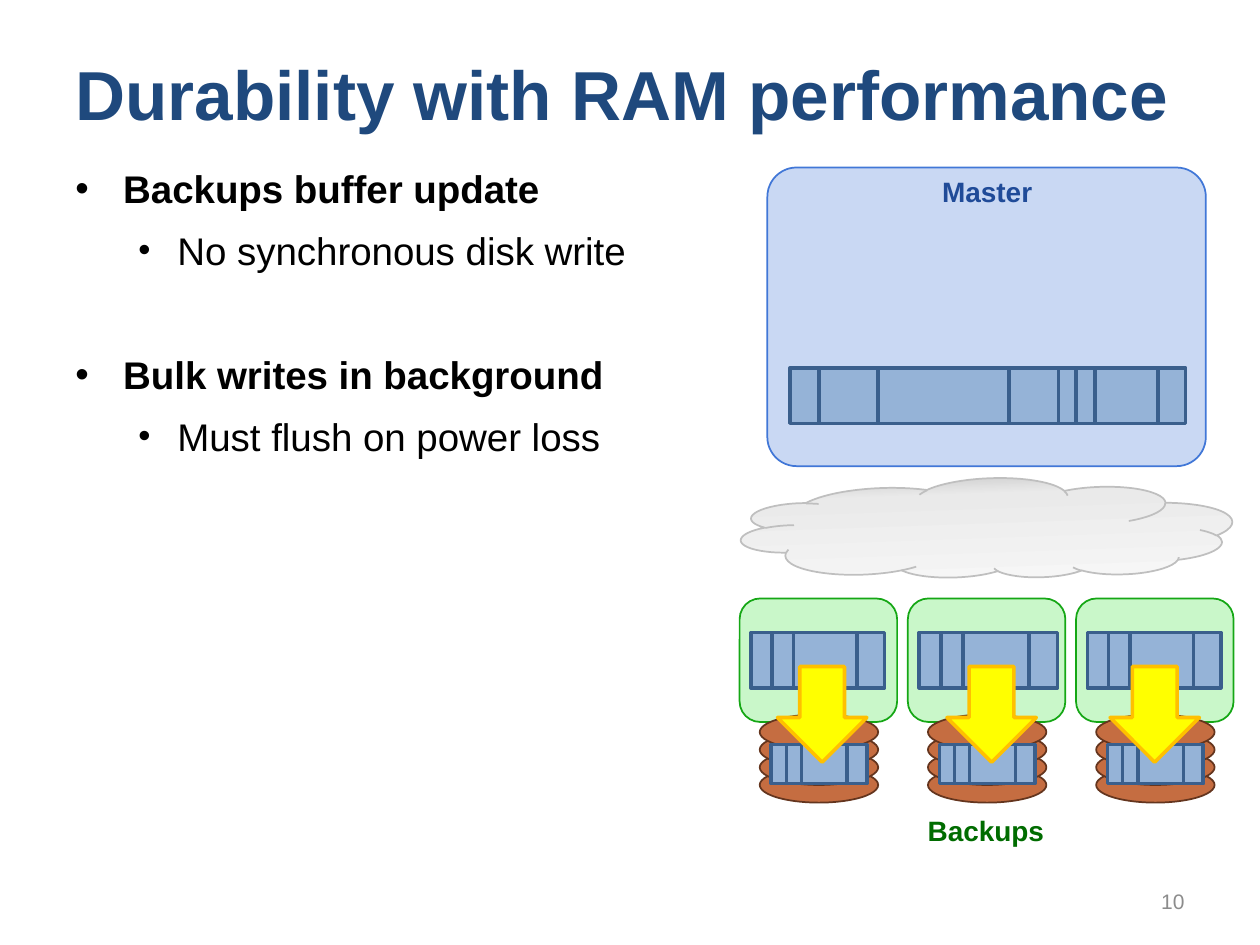
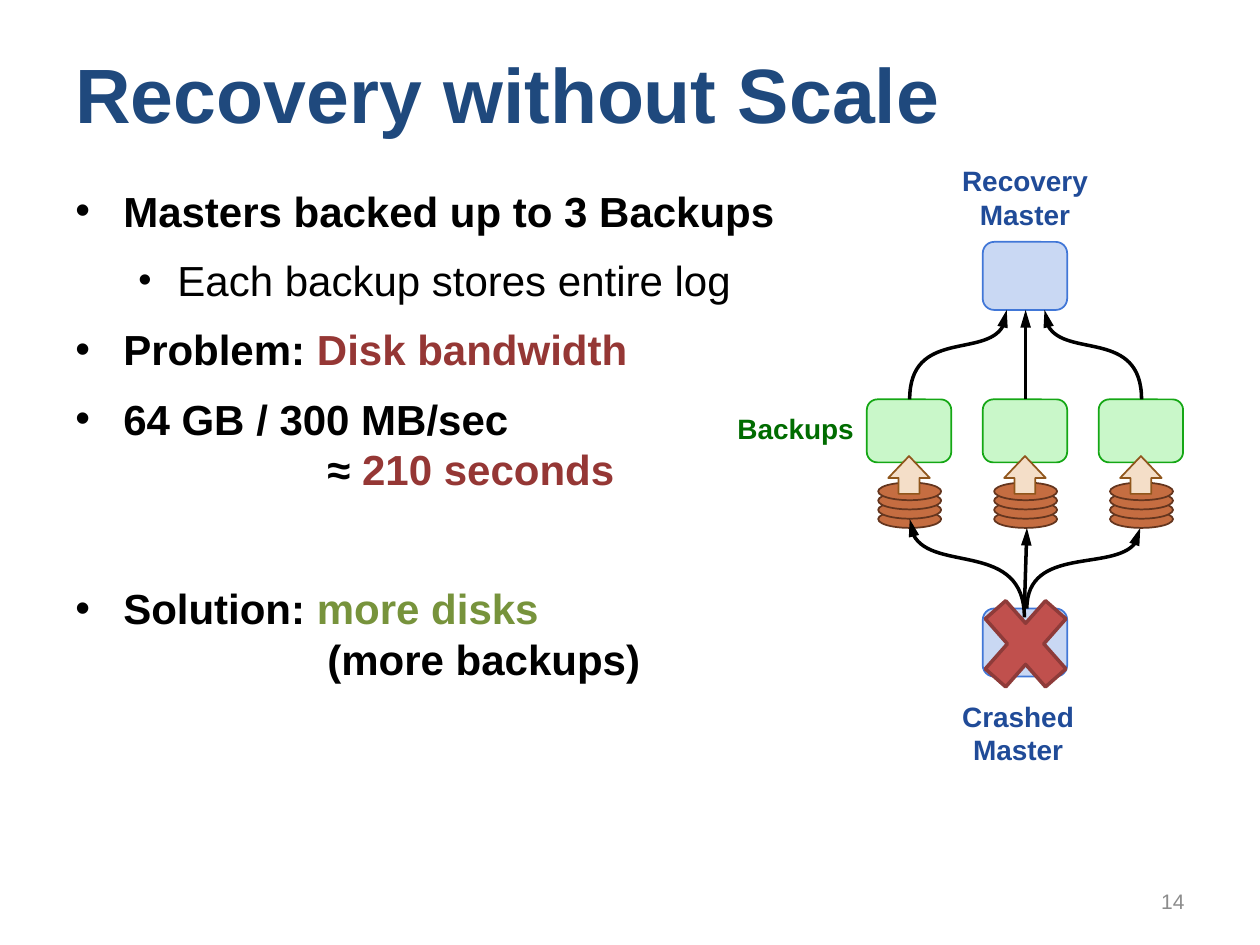
from dataclasses import dataclass

from lxml import etree
from pptx import Presentation
from pptx import util as u
from pptx.dml.color import RGBColor
from pptx.enum import shapes, text
from pptx.oxml.ns import qn


@dataclass(frozen=True)
class Theme:
    font: str = "Arial"
    title: str = "1F497D"
    ink: str = "000000"
    number: str = "8C8C8C"
    problem: str = "953735"
    solution: str = "77933C"
    master_text: str = "204B98"
    backup_text: str = "006C00"
    # (fill, line, line width)
    master: tuple = ("C9D8F3", "4177D7", 1)
    backup: tuple = ("C9F7C9", "15A715", 1)
    disk: tuple = ("C56D41", "64351E", 1)
    log: tuple = ("95B3D7", "3A5F8C", 2)
    flush: tuple = ("FFFF00", "FFC000", 2)
    read: tuple = ("F4DEC8", "90561C", 1)
    crash: tuple = ("C0504D", "8E3B39", 2)
    cloud_line: str = "BFBFBF"
    cloud_stops: tuple = ((0, "F8F8F8"), (76, "EAEAEA"), (100, "C0C0C0"))
    label_size: float = 16
    number_size: float = 12


THEME = Theme()
SHAPE = shapes.MSO_SHAPE
ALIGN = text.PP_ALIGN
ANCHOR = text.MSO_ANCHOR

MASTER_CELLS = (0.23, 0.47, 1.04, 0.39, 0.14, 0.15, 0.5, 0.22)
BACKUP_CELLS = (0.17, 0.17, 0.51, 0.22)


def inches(values):
    return [u.Inches(value) for value in values]


def add_text(slide, box, lines, size, color, bold=False, align=ALIGN.LEFT,
             anchor=ANCHOR.TOP, wrap=True):
    frame = slide.shapes.add_textbox(*inches(box)).text_frame
    frame.word_wrap = wrap
    frame.vertical_anchor = anchor
    for index, line in enumerate(lines):
        paragraph = frame.paragraphs[0] if index == 0 else frame.add_paragraph()
        paragraph.alignment = align
        add_run(paragraph, line, size, color, bold)


def add_run(paragraph, words, size, color, bold=False):
    run = paragraph.add_run()
    run.text = words
    run.font.name = THEME.font
    run.font.size = u.Pt(size)
    run.font.bold = bold
    run.font.color.rgb = RGBColor.from_string(color)


def add_label(slide, box, lines, color):
    add_text(slide, box, lines, THEME.label_size, color, bold=True,
             align=ALIGN.CENTER, wrap=False)


def add_figure(slide, kind, box, style, adjustments=()):
    """Add a preset shape with a (fill, line, width) style."""
    fill, line, width = style
    shape = slide.shapes.add_shape(kind, *inches(box))
    shape.shadow.inherit = False
    shape.fill.solid()
    shape.fill.fore_color.rgb = RGBColor.from_string(fill)
    shape.line.color.rgb = RGBColor.from_string(line)
    shape.line.width = u.Pt(width)
    for index, value in enumerate(adjustments):
        shape.adjustments[index] = value
    return shape


def add_frame(slide, title, title_size, number):
    add_text(slide, (0.5, 0.3, 9, 0.87), [title], title_size, THEME.title,
             bold=True, anchor=ANCHOR.MIDDLE)
    add_text(slide, (7.17, 6.95, 2.33, 0.4), [number], THEME.number_size,
             THEME.number, align=ALIGN.RIGHT, anchor=ANCHOR.MIDDLE)


def set_bullet(paragraph, margin, hanging, size_percent=None):
    properties = paragraph._p.get_or_add_pPr()
    properties.set("marL", str(u.Inches(margin)))
    properties.set("indent", str(-u.Inches(hanging)))
    if size_percent:
        etree.SubElement(properties, qn("a:buSzPct"), val=str(size_percent * 1000))
    if hanging:
        etree.SubElement(properties, qn("a:buFont"), typeface=THEME.font)
        etree.SubElement(properties, qn("a:buChar"), char="•")
    else:
        etree.SubElement(properties, qn("a:buNone"))


def add_bullets(slide, box, items, size, before, gap):
    """Add (kind, runs) items; a "section" item stands off by the gap."""
    layouts = {"point": (0.38, 0.38), "section": (0.38, 0.38),
               "detail": (0.81, 0.31, 90), "continued": (2, 0)}
    frame = slide.shapes.add_textbox(*inches(box)).text_frame
    frame.word_wrap = True
    previous = None
    for index, (kind, runs) in enumerate(items):
        paragraph = frame.add_paragraph() if index else frame.paragraphs[0]
        set_bullet(paragraph, *layouts[kind])
        space = {"section": gap, "continued": 0}.get(kind, before)
        paragraph.space_before = u.Pt(space if index else 0)
        paragraph.space_after = u.Pt(6)
        if kind == "continued":
            previous.space_after = u.Pt(0)
        for words, color in runs:
            add_run(paragraph, words, size, color, bold=kind != "detail")
        previous = paragraph


def add_log(slide, box, cells):
    """Fill the box with a row of log entries, sized in proportion to cells."""
    left, top, width, height = box
    scale = width / sum(cells)
    for cell in cells:
        add_figure(slide, SHAPE.RECTANGLE, (left, top, cell * scale, height), THEME.log)
        left += cell * scale


def add_disks(slide, box, disk_height, count=4):
    """Stack disks from the bottom of the box to its top."""
    left, top, width, height = box
    step = (height - disk_height) / (count - 1)
    for index in reversed(range(count)):
        add_figure(slide, SHAPE.OVAL, (left, top + index * step, width, disk_height),
                   THEME.disk)


def add_cloud(slide, box):
    cloud = add_figure(slide, SHAPE.CLOUD, box, ("FFFFFF", THEME.cloud_line, 1))
    cloud.rotation = 358
    cloud.fill.gradient()
    cloud.fill.gradient_angle = 270
    properties = cloud.element.spPr
    properties.find(qn("a:xfrm")).set("flipV", "1")
    gradient = properties.find(qn("a:gradFill"))
    gradient.set("rotWithShape", "1")
    stops = gradient.find(qn("a:gsLst"))
    for stop in list(stops):
        stops.remove(stop)
    for percent, color in THEME.cloud_stops:
        stop = etree.SubElement(stops, qn("a:gs"), pos=str(percent * 1000))
        etree.SubElement(stop, qn("a:srgbClr"), val=color)


def finish_arrow(shape):
    shape.line.color.rgb = RGBColor.from_string(THEME.ink)
    shape.line.width = u.Pt(2)
    etree.SubElement(shape.line._get_or_add_ln(), qn("a:tailEnd"),
                     type="triangle", w="med", len="lg")


def add_straight_arrow(slide, start, end):
    connector = slide.shapes.add_connector(shapes.MSO_CONNECTOR.STRAIGHT,
                                           *inches(start + end))
    finish_arrow(connector)
    etree.SubElement(connector._element.spPr, qn("a:effectLst"))


def add_curved_arrow(slide, *controls):
    """Draw one cubic curve from its start, two control points and end."""
    start, *others = [tuple(inches(point)) for point in controls]
    builder = slide.shapes.build_freeform(*start)
    builder.add_line_segments(others, close=False)
    shape = builder.convert_to_shape()
    segments = list(shape.element.spPr.iter(qn("a:lnTo")))
    outline = segments[0].getparent()
    curve = etree.SubElement(outline, qn("a:cubicBezTo"))
    for segment in segments:
        curve.append(segment[0])
        outline.remove(segment)
    shape.shadow.inherit = False
    shape.fill.background()
    finish_arrow(shape)


def add_master(slide, box):
    left, top, width, height = box
    add_figure(slide, SHAPE.ROUNDED_RECTANGLE, box, THEME.master, (0.098,))
    add_label(slide, (left + 1.28, top + 0.01, 0.93, 0.37), ["Master"], THEME.master_text)
    add_log(slide, (left + 0.18, top + 1.59, sum(MASTER_CELLS), 0.44), MASTER_CELLS)


def add_flushing_backup(slide, box, log_width, arrow_offset):
    """Add a backup whose buffered log is flushed to the disks below it."""
    left, top, width, height = box
    add_figure(slide, SHAPE.ROUNDED_RECTANGLE, box, THEME.backup)
    add_disks(slide, (left + 0.16, top + 0.92, 0.94, 0.7), 0.28)
    add_log(slide, (left + 0.25, top + 1.16, 0.76, 0.31), BACKUP_CELLS)
    add_log(slide, (left + 0.09, top + 0.27, log_width, 0.44), BACKUP_CELLS)
    add_figure(slide, SHAPE.DOWN_ARROW, (left + arrow_offset, top + 0.54, 0.71, 0.76),
               THEME.flush)


def add_reading_backup(slide, box):
    """Add a backup that reads from the disks below it."""
    left, top, width, height = box
    add_disks(slide, (left + 0.09, top + 0.66, 0.5, 0.36), 0.14)
    add_figure(slide, SHAPE.ROUNDED_RECTANGLE, box, THEME.backup)
    add_figure(slide, SHAPE.UP_ARROW, (left + 0.17, top + 0.45, 0.33, 0.3),
               THEME.read, (0.5, 0.58))


def add_recovery_diagram(slide, left, top):
    """Add the flow from crashed master through backups to recovery master."""
    def at(x, y):
        return left + x, top + y

    pitch = 0.92
    add_figure(slide, SHAPE.ROUNDED_RECTANGLE, (*at(2.05, 0.67), 0.67, 0.54), THEME.master)
    add_label(slide, (*at(1.78, 0), 1.21, 0.64), ["Recovery", "Master"], THEME.master_text)
    for index in range(3):
        add_reading_backup(slide, (*at(1.13 + index * pitch, 1.92), 0.67, 0.5))
    add_label(slide, (*at(0, 1.97), 1.13, 0.37), ["Backups"], THEME.backup_text)
    add_figure(slide, SHAPE.ROUNDED_RECTANGLE, (*at(2.05, 3.58), 0.67, 0.54), THEME.master)
    add_label(slide, (*at(1.78, 4.25), 1.1, 0.64), ["Crashed", "Master"], THEME.master_text)

    middle = 2.39
    for side in (-1, 1):
        outer, inner = middle + side * pitch, middle + side * 0.15
        add_curved_arrow(slide, at(outer, 1.92), at(outer, 1.36),
                         at(inner, 1.65), at(inner, 1.21))
    add_straight_arrow(slide, at(middle, 1.92), at(middle, 1.21))
    add_curved_arrow(slide, at(2.38, 3.65), at(2.38, 3.04), at(1.48, 3.35), at(1.47, 2.87))
    add_curved_arrow(slide, at(2.4, 3.58), at(2.4, 3.08), at(3.29, 3.34), at(3.3, 2.94))
    add_straight_arrow(slide, at(2.38, 3.58), at(2.4, 2.94))
    add_figure(slide, SHAPE.MATH_MULTIPLY, (*at(1.93, 3.34), 0.92, 1.04), THEME.crash)


def build_durability_slide(slide):
    ink = THEME.ink
    add_frame(slide, "Durability with RAM performance", 39.6, "10")
    add_cloud(slide, (5.88, 3.8, 3.9, 0.8))
    add_master(slide, (6.09, 1.33, 3.48, 2.37))
    add_label(slide, (7.26, 6.41, 1.13, 0.37), ["Backups"], THEME.backup_text)
    add_bullets(slide, (0.5, 1.26, 4.8, 5.44), [
        ("point", [("Backups buffer update", ink)]),
        ("detail", [("No synchronous disk write", ink)]),
        ("section", [("Bulk writes in background", ink)]),
        ("detail", [("Must flush on power loss", ink)]),
    ], size=22, before=3, gap=38.5)
    flushes = ((1.06, 0.3), (1.1, 0.31), (1.06, 0.27))
    for index, (log_width, arrow_offset) in enumerate(flushes):
        add_flushing_backup(slide, (5.87 + index * 1.335, 4.75, 1.25, 0.98),
                            log_width, arrow_offset)


def build_recovery_slide(slide):
    ink = THEME.ink
    add_frame(slide, "Recovery without Scale", 44, "14")
    add_bullets(slide, (0.5, 1.42, 6.08, 5.28), [
        ("point", [("Masters backed up to 3 Backups", ink)]),
        ("detail", [("Each backup stores entire log", ink)]),
        ("point", [("Problem: ", ink), ("Disk bandwidth", THEME.problem)]),
        ("point", [("64 GB / 300 MB/sec", ink)]),
        ("continued", [("≈ ", ink), ("210 seconds", THEME.problem)]),
        ("section", [("Solution: ", ink), ("more disks", THEME.solution)]),
        ("continued", [("(more backups)", ink)]),
    ], size=24, before=4.8, gap=44.8)
    add_recovery_diagram(slide, 5.75, 1.25)


def main():
    presentation = Presentation()
    presentation.slide_width = u.Inches(10)
    presentation.slide_height = u.Inches(7.5)
    blank = presentation.slide_layouts[6]
    for build in (build_durability_slide, build_recovery_slide):
        build(presentation.slides.add_slide(blank))
    presentation.save("out.pptx")


if __name__ == "__main__":
    main()
